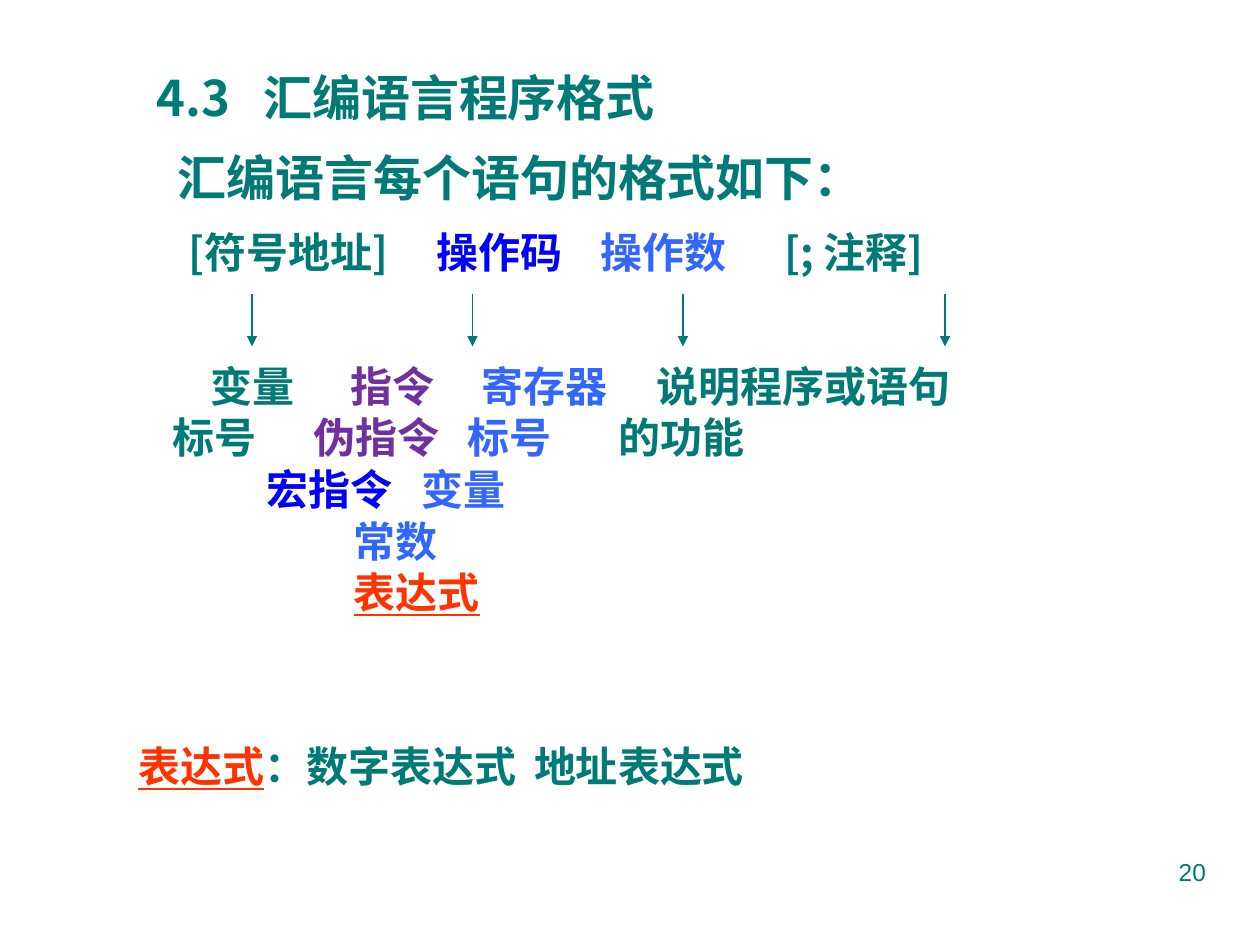
from dataclasses import dataclass

import pptx
import pptx.dml.color
import pptx.enum.shapes
import pptx.enum.text
import pptx.oxml
import pptx.oxml.ns
import pptx.util
from pptx.util import Inches

TEAL, BLUE, SKY, PURPLE, RED = "007A77", "0000FF", "3366FF", "7030A0", "FF3300"
CJK = "Noto Sans CJK SC"
INSET_X, INSET_Y = 0.1, 0.05


@dataclass
class Cell:
    text: str
    left: float
    color: str = TEAL
    underline: bool = False


def rgb(color: str):
    return pptx.dml.color.RGBColor.from_string(color)


def add_span(para, text: str, *, size=24, color=TEAL, font=CJK, bold=True, underline=False):
    span = para.add_run()
    span.text = text
    span.font.size = pptx.util.Pt(size)
    span.font.name = font
    span.font.bold = bold
    span.font.underline = underline
    span.font.color.rgb = rgb(color)
    east = pptx.oxml.parse_xml(f'<a:ea {pptx.oxml.ns.nsdecls("a")} typeface="{CJK}"/>')
    span.font._element.find(pptx.oxml.ns.qn("a:latin")).addnext(east)


def set_tabs(para, stops: list[float]) -> None:
    tabs = "".join(f'<a:tab pos="{Inches(stop)}" algn="l"/>' for stop in stops)
    para._p.get_or_add_pPr().append(pptx.oxml.parse_xml(
        f'<a:tabLst {pptx.oxml.ns.nsdecls("a")}>{tabs}</a:tabLst>'))


def clear_bullet(para) -> None:
    properties = para._p.get_or_add_pPr()
    properties.set("marL", "0")
    properties.set("indent", "0")
    properties.append(pptx.oxml.parse_xml(f'<a:buNone {pptx.oxml.ns.nsdecls("a")}/>'))


def place(box, left: float, top: float, width: float, height: float, anchor="TOP"):
    box.left, box.top = Inches(left), Inches(top)
    box.width, box.height = Inches(width), Inches(height)
    frame = box.text_frame
    frame.word_wrap = True
    frame.auto_size = pptx.enum.text.MSO_AUTO_SIZE.NONE
    frame.vertical_anchor = pptx.enum.text.MSO_ANCHOR[anchor]
    frame.margin_left = frame.margin_right = Inches(INSET_X)
    frame.margin_top = frame.margin_bottom = Inches(INSET_Y)
    return frame


def write_rows(box, rows: list[list[Cell]], *, size=24, leading=29.5) -> None:
    frame = box.text_frame
    start = round(box.left.inches + INSET_X, 2)
    for index, row in enumerate(rows):
        para = frame.paragraphs[0] if index == 0 else frame.add_paragraph()
        para.alignment = pptx.enum.text.PP_ALIGN.LEFT
        stops = [cell.left - start for cell in row if cell.left > start]
        if stops:
            set_tabs(para, stops)
        para.line_spacing = pptx.util.Pt(leading)
        para.space_before = pptx.util.Pt(0)
        for cell in row:
            if cell.left > start:
                add_span(para, "\t", size=size)
            add_span(para, cell.text, size=size, color=cell.color, underline=cell.underline)


def add_arrow(page, x: float, top: float, bottom: float) -> None:
    arrow = page.shapes.add_connector(
        pptx.enum.shapes.MSO_CONNECTOR.STRAIGHT,
        Inches(x), Inches(top), Inches(x), Inches(bottom))
    arrow.line.color.rgb = rgb(TEAL)
    arrow.line.width = pptx.util.Pt(1)
    namespace = pptx.oxml.ns.nsdecls("a")
    arrow.line._get_or_add_ln().append(
        pptx.oxml.parse_xml(f'<a:tailEnd {namespace} type="triangle"/>'))
    arrow._element.spPr.append(pptx.oxml.parse_xml(f"<a:effectLst {namespace}/>"))


TITLE = [[Cell("4.3", 1.24), Cell("汇编语言程序格式", 2.09)]]
INTRO = [[Cell("汇编语言每个语句的格式如下：", 1.41)]]
FORMAT = [[Cell("[符号地址]", 1.5), Cell("操作码", 3.47, BLUE),
           Cell("操作数", 4.77, SKY), Cell("[; 注释]", 6.23)]]
FIELDS = [
    [Cell("变量", 1.67), Cell("指令", 2.78, PURPLE),
     Cell("寄存器", 3.82, SKY), Cell("说明程序或语句", 5.21)],
    [Cell("标号", 1.37), Cell("伪指令", 2.49, PURPLE),
     Cell("标号", 3.71, SKY), Cell("的功能", 4.91)],
    [Cell("宏指令", 2.12, BLUE), Cell("变量", 3.35, SKY)],
    [Cell("常数", 2.81, SKY)],
    [Cell("表达式", 2.81, RED, True)],
]


def main() -> None:
    deck = pptx.Presentation()
    deck.slide_width, deck.slide_height = Inches(10), Inches(7.5)
    page = deck.slides.add_slide(deck.slide_layouts[1])

    title = page.shapes.title
    place(title, 1.14, 0.47, 6.51, 0.6, "MIDDLE")
    write_rows(title, TITLE, size=28, leading=34)

    body = page.placeholders[1]
    clear_bullet(place(body, 1.31, 1.17, 6.34, 0.52).paragraphs[0])
    write_rows(body, INTRO, size=28, leading=30)

    header = page.shapes.add_textbox(0, 0, 0, 0)
    place(header, 1.14, 1.76, 7, 0.5)
    write_rows(header, FORMAT, leading=28)

    fields = page.shapes.add_textbox(0, 0, 0, 0)
    place(fields, 0.97, 2.8, 8.22, 2.2)
    write_rows(fields, FIELDS)

    for x in (2, 3.75, 5.42, 7.5):
        add_arrow(page, x, 2.33, 2.75)

    summary = page.shapes.add_textbox(0, 0, 0, 0)
    para = place(summary, 1, 5.83, 5.3, 0.5, "MIDDLE").paragraphs[0]
    set_tabs(para, [3.14])
    add_span(para, "表达式", color=RED, font="Times New Roman", underline=True)
    add_span(para, "：数字表达式\t地址表达式", font="Times New Roman")

    number = page.shapes.add_textbox(0, 0, 0, 0)
    para = place(number, 7.17, 6.75, 2.5, 0.52).paragraphs[0]
    para.alignment = pptx.enum.text.PP_ALIGN.RIGHT
    add_span(para, "20", size=14, font="Arial", bold=False)

    deck.save("out.pptx")


if __name__ == "__main__":
    main()
